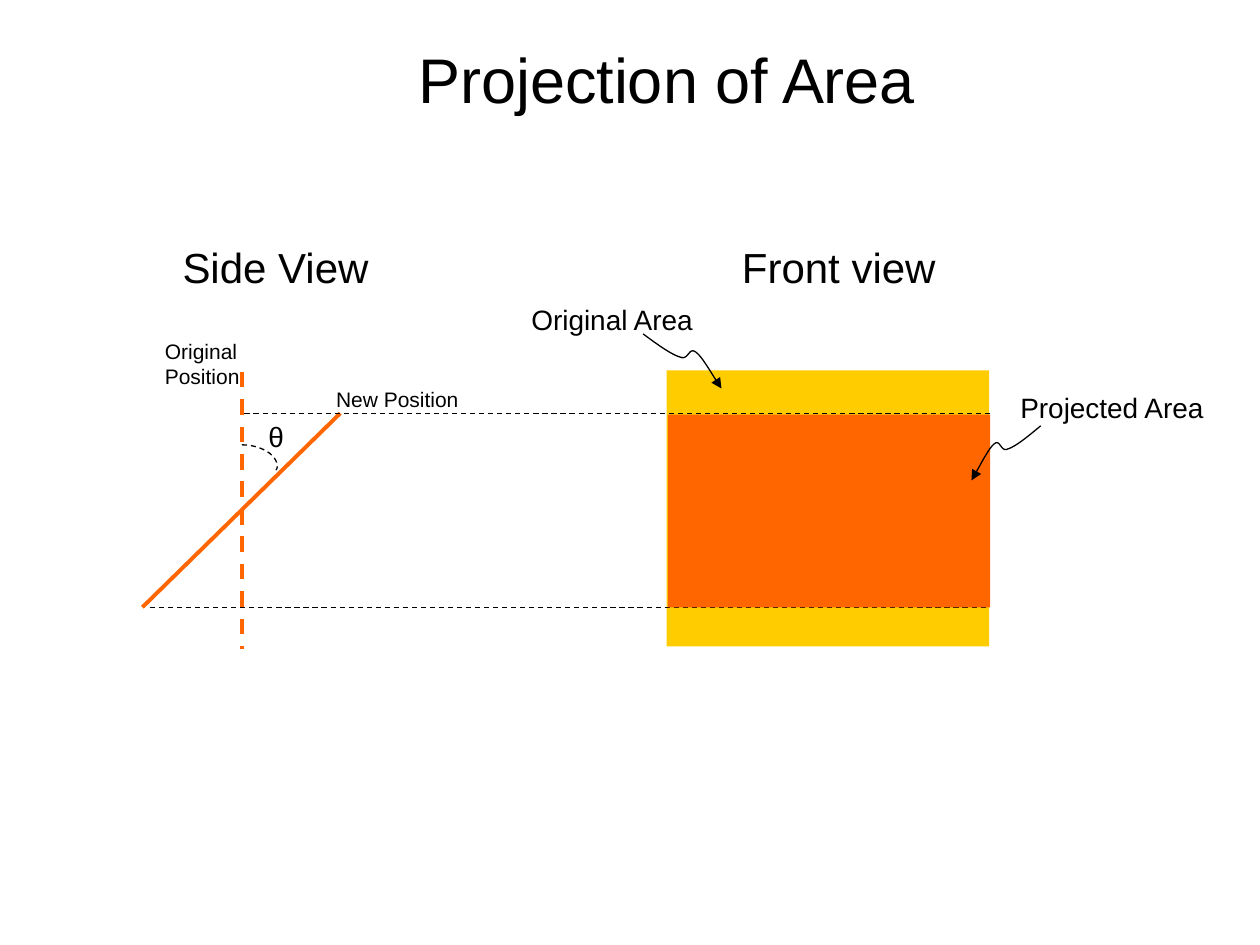
"""Build a slide showing how a tilted surface projects a smaller area."""
from dataclasses import dataclass
from typing import Optional

from lxml import etree
from pptx import Presentation
from pptx.dml.color import RGBColor
from pptx.enum import dml, shapes, text
from pptx.oxml import ns
from pptx.util import Pt

BLACK = RGBColor(0x00, 0x00, 0x00)
YELLOW = RGBColor(0xFF, 0xCC, 0x00)
ORANGE = RGBColor(0xFF, 0x66, 0x00)
FONT = "Arial"
STEPS = 12
TOP_EDGE, BOTTOM_EDGE = 236.2, 347
AXIS_X = 138.2
WAVE = [(0, 0), (0.13, -8.6), (0.24, -18), (0.33, -20.9), (0.42, -23.8),
        (0.42, -15.8), (0.53, -18), (0.64, -19.4), (0.82, -25.2), (1, -31.2)]
ANGLE_ARC = [(AXIS_X, 254.2), (149, 254.2), (158.4, 259.9), (158.4, 266.4),
             (158.4, 267.1), (158.4, 267.8), (157.7, 268.6)]


@dataclass
class Label:
    text: str
    left: float
    top: float
    width: float
    height: float
    size: float
    wrap_margin: Optional[float] = None


@dataclass
class Area:
    left: float
    top: float
    width: float
    height: float
    color: RGBColor


@dataclass
class Line:
    start: tuple[float, float]
    end: tuple[float, float]
    color: RGBColor = BLACK
    weight: float = 0.75
    dashed: bool = True


@dataclass
class Pointer:
    tip: tuple[float, float]
    reach: float


ORIGINAL_AREA = Area(380.9, 211.7, 184.3, 157.7, YELLOW)
PROJECTED_AREA = Area(381.6, 236.9, 184.3, 110.2, ORANGE)
LINES = [
    Line((AXIS_X, 212.4), (AXIS_X, 370.8), ORANGE, 2.25),
    Line((194.4, TOP_EDGE), (81.4, BOTTOM_EDGE), ORANGE, 2.25, False),
    Line((139.7, TOP_EDGE), (565.9, TOP_EDGE)),
    Line((85.7, BOTTOM_EDGE), (565.2, BOTTOM_EDGE)),
]
POINTERS = [Pointer((412.3, 222), -44.8), Pointer((555.1, 274.5), 39.6)]
LABELS = [
    Label("Original Position", 87.1, 190.1, 101.5, 21.6, 12, 36),
    Label("New Position", 185, 217.4, 84.2, 21.6, 12),
    Label("θ", 146.2, TOP_EDGE, 23, 26.6, 16),
    Label("Original Area", 296.6, 169.2, 108, 26.6, 16),
    Label("Projected Area", 576, 219.6, 120.2, 26.6, 16),
    Label("Side View", 97.2, 134.6, 121.7, 36, 24),
    Label("Front view", 416.9, 134.6, 125.3, 36, 24),
]


def format_text(tf, size: float) -> None:
    for p in tf.paragraphs:
        for r in p.runs:
            r.font.name, r.font.size = FONT, Pt(size)
            r.font.color.rgb = BLACK


def format_line(line, color: RGBColor, weight: float, dashed: bool) -> None:
    line.color.rgb = color
    line.width = Pt(weight)
    if dashed:
        line.dash_style = dml.MSO_LINE.DASH


def add_title(s, title: str) -> None:
    sp = s.shapes.title
    sp.left, sp.top, sp.width, sp.height = Pt(126), Pt(0), Pt(510), Pt(90)
    tf = sp.text_frame
    tf.text = title
    tf.auto_size = text.MSO_AUTO_SIZE.NONE
    tf.vertical_anchor = text.MSO_ANCHOR.MIDDLE
    tf.paragraphs[0].alignment = text.PP_ALIGN.CENTER
    format_text(tf, 36)


def add_label(s, label: Label) -> None:
    sp = s.shapes.add_textbox(Pt(label.left), Pt(label.top),
                              Pt(label.width), Pt(label.height))
    tf = sp.text_frame
    tf.text = label.text
    tf.word_wrap = label.wrap_margin is not None
    if label.wrap_margin is not None:
        tf.margin_right = Pt(label.wrap_margin)
    format_text(tf, label.size)


def add_area(s, area: Area) -> None:
    sp = s.shapes.add_shape(shapes.MSO_SHAPE.RECTANGLE, Pt(area.left), Pt(area.top),
                            Pt(area.width), Pt(area.height))
    sp.shadow.inherit = False
    sp.fill.solid()
    sp.fill.fore_color.rgb = area.color
    sp.line.fill.background()


def add_line(s, line: Line) -> None:
    sp = s.shapes.add_connector(shapes.MSO_CONNECTOR.STRAIGHT,
                                *map(Pt, line.start + line.end))
    format_line(sp.line, line.color, line.weight, line.dashed)
    etree.SubElement(sp._element.spPr, ns.qn("a:effectLst"))


def bezier_points(controls: list) -> list:
    points = [controls[0]]
    for i in range(0, len(controls) - 1, 3):
        segment = controls[i:i + 4]
        for step in range(1, STEPS + 1):
            t = step / STEPS
            weights = ((1 - t) ** 3, 3 * t * (1 - t) ** 2, 3 * t * t * (1 - t), t ** 3)
            points.append(tuple(sum(w * c[axis] for w, c in zip(weights, segment))
                                for axis in (0, 1)))
    return points


def add_curve(s, controls: list, dashed: bool = False):
    start, *rest = [(Pt(x), Pt(y)) for x, y in bezier_points(controls)]
    builder = s.shapes.build_freeform(*start)
    builder.add_line_segments(rest, close=False)
    sp = builder.convert_to_shape()
    sp.shadow.inherit = False
    sp.fill.background()
    format_line(sp.line, BLACK, 0.75, dashed)
    return sp


def add_pointer(s, pointer: Pointer) -> None:
    x, y = pointer.tip
    sp = add_curve(s, [(x + dx * pointer.reach, y + dy) for dx, dy in WAVE])
    ln = sp._element.spPr.find(ns.qn("a:ln"))
    etree.SubElement(ln, ns.qn("a:headEnd"), type="triangle")


def main() -> None:
    prs = Presentation()
    prs.slide_width, prs.slide_height = Pt(720), Pt(540)
    s = prs.slides.add_slide(prs.slide_layouts[5])
    add_title(s, "Projection of Area")
    add_area(s, ORIGINAL_AREA)
    for line in LINES:
        add_line(s, line)
    add_area(s, PROJECTED_AREA)
    add_curve(s, ANGLE_ARC, dashed=True)
    for pointer in POINTERS:
        add_pointer(s, pointer)
    for label in LABELS:
        add_label(s, label)
    prs.save("out.pptx")


if __name__ == "__main__":
    main()
